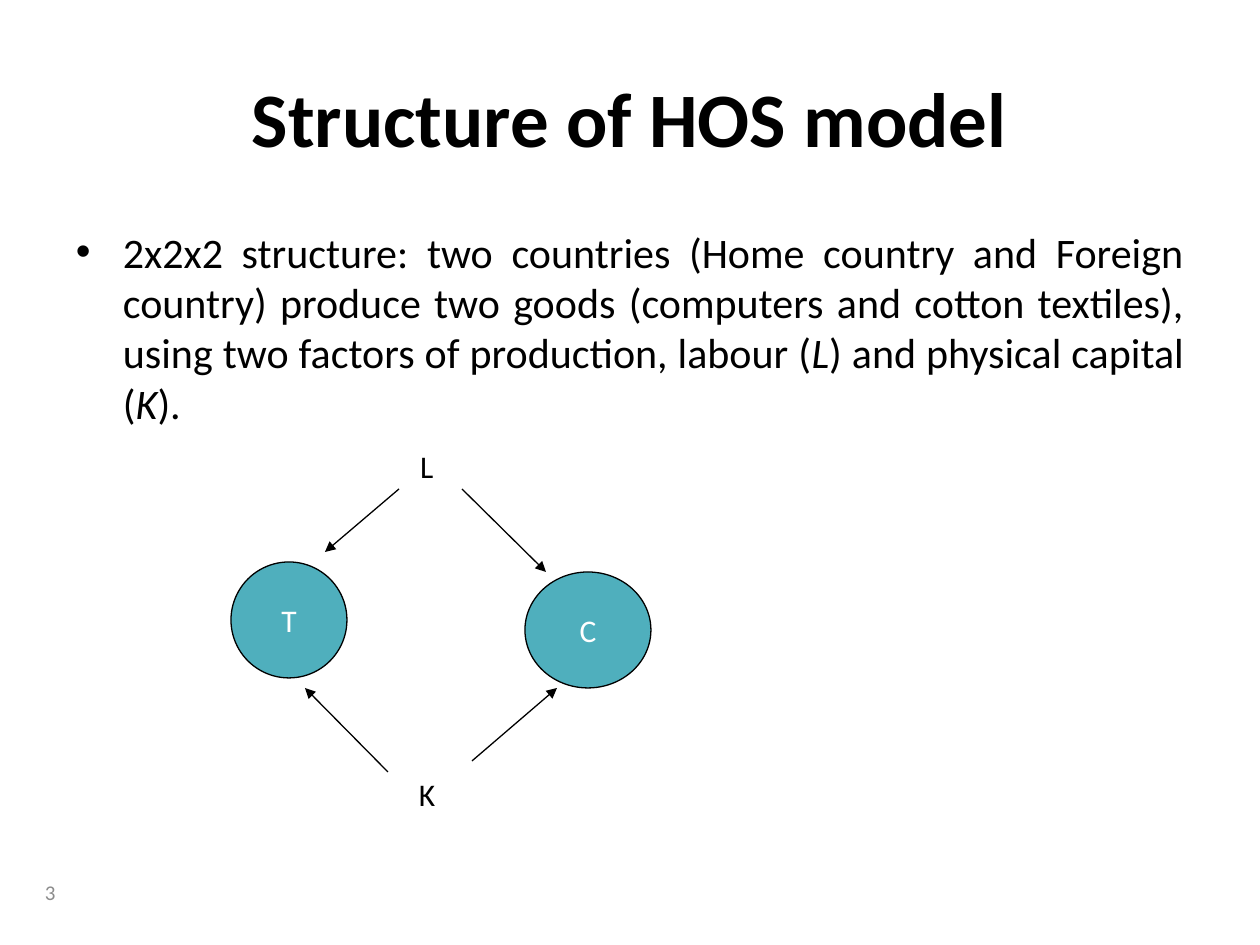
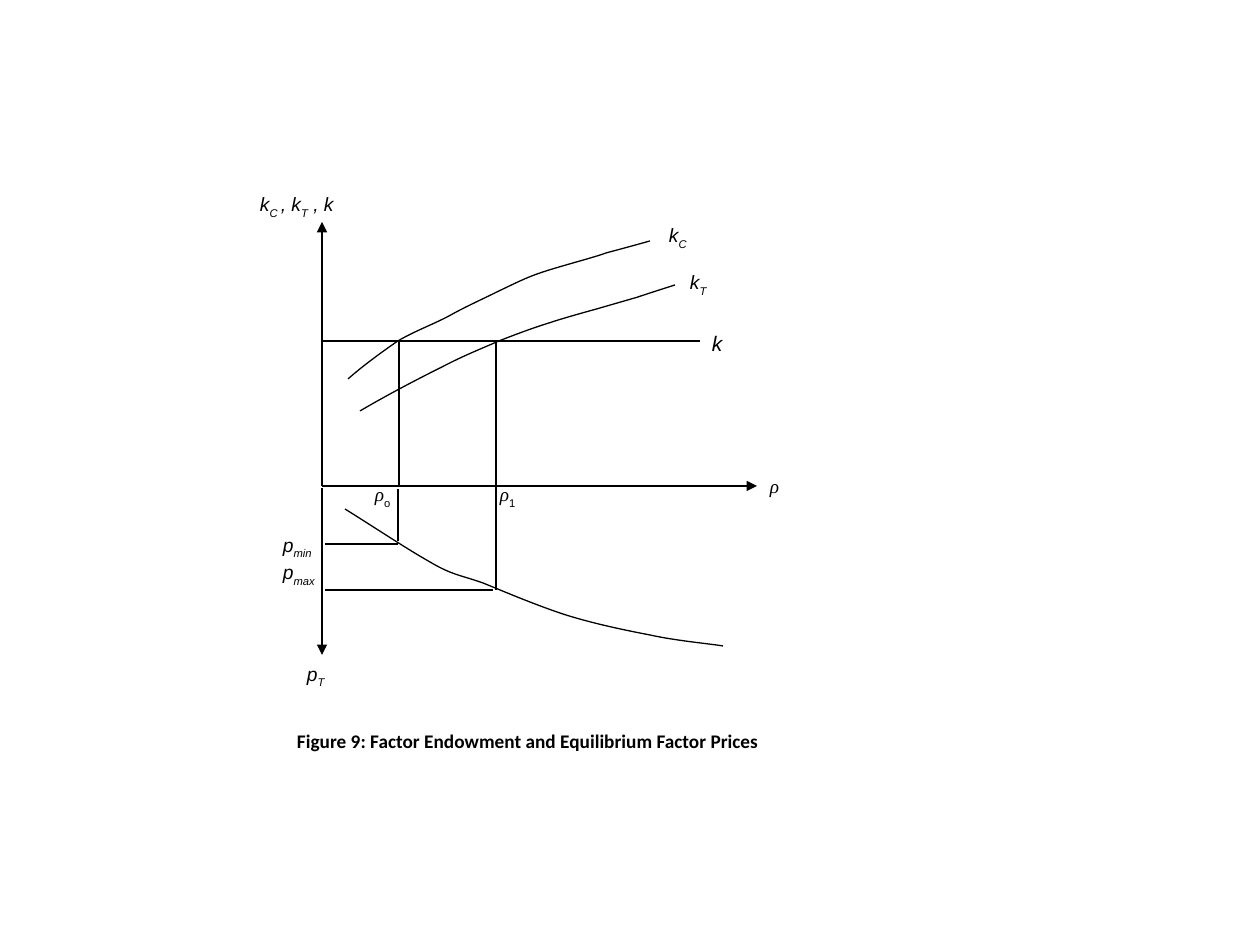
import pptx
import pptx.util
import pptx.dml.color
import pptx.enum.shapes
import pptx.enum.text
import lxml.etree

PX = 914400 / 126
BLACK = pptx.dml.color.RGBColor(0, 0, 0)
WHITE = pptx.dml.color.RGBColor(255, 255, 255)
GREY = pptx.dml.color.RGBColor(0x8C, 0x8C, 0x8C)
TEAL = pptx.dml.color.RGBColor(0x4F, 0xAF, 0xBD)
SANS, LABEL, GREEK = "Calibri", "Arial", "Times New Roman"
ALIGN = pptx.enum.text.PP_ALIGN
MIDDLE = pptx.enum.text.MSO_ANCHOR.MIDDLE
WIDE, TIGHT = (13, 6), (8, 4)  # text insets: sides, top and bottom

# ---- Content. A run is (text, marks): b bold, i italic, s subscript, g Greek font
TITLE = [("Structure of HOS model", "b")]
STRUCTURE = [
    ("2x2x2 structure: two countries (Home country and Foreign country) produce "
     "two goods (computers and cotton textiles), using two factors of production, "
     "labour (", ""), ("L", "i"), (") and physical capital (", ""), ("K", "i"), (").", "")]
PAGE_NUMBER = [("3", "")]

GOODS = [("T", (231, 562, 116, 116)), ("C", (525, 572, 126, 116))]
FACTORS = [("L", (407, 441, 43, 50)), ("K", (406, 769, 46, 50))]
FACTOR_ARROWS = [(399, 489, 325, 552), (462, 489, 546, 572),
                 (472, 761, 557, 688), (388, 772, 305, 688)]

# Figure: origin and the two factor price ratios
AXIS_X, AXIS_Y, K_LEVEL = 322, 486, 341
RHO_0, RHO_1 = 399, 496
P_MIN, P_MAX = 544, 590
AXES = [(AXIS_X, AXIS_Y, AXIS_X, 222), (AXIS_X, AXIS_Y, 757, AXIS_Y),
        (AXIS_X, AXIS_Y + 2, AXIS_X, 655)]
GUIDES = [
    (AXIS_X, K_LEVEL, 625, K_LEVEL), (625, K_LEVEL, 700, K_LEVEL),
    (RHO_0, K_LEVEL, RHO_0, 417), (RHO_0, 417, RHO_0, AXIS_Y),
    (RHO_1, K_LEVEL, RHO_1, 417), (RHO_1, 404, RHO_1, AXIS_Y),
    (RHO_0 - 1, AXIS_Y + 3, RHO_0 - 1, 541), (RHO_1, AXIS_Y, RHO_1, P_MAX),
    (RHO_0 - 1, P_MIN, 325, P_MIN), (RHO_1 - 3, P_MAX, 325, P_MAX),
    (593, 310, 638, 297)]
# Bezier curves: start, then two handles and an end point for each piece
CURVES = [
    [(348, 379), (364, 365), (382, 352), (398, 341), (415, 331), (432, 325),
     (449, 316), (465, 307), (483, 299), (499, 291), (514, 284), (525, 278),
     (543, 272), (561, 266), (596, 257), (606, 253)],
    [(606, 253), (625, 248), (643, 243), (650, 241)],
    [(360, 411), (389, 394), (420, 378), (442, 367), (465, 355), (481, 349),
     (499, 341), (517, 334), (533, 328), (549, 323), (564, 318), (586, 312),
     (593, 310)],
    [(638, 297), (653, 292), (669, 287), (675, 285)],
    [(345, 509), (377, 529), (407, 549), (430, 562), (452, 575), (460, 575),
     (483, 583), (505, 592), (538, 606), (566, 615), (595, 624), (624, 630),
     (650, 635), (677, 641), (712, 644), (723, 646)]]
# Label: box, insets, size, paragraphs
FIGURE_LABELS = [
    ((252, 188, 121, 30), TIGHT, 11,
     [[("k", "i"), ("C ", "is"), (", k", "i"), ("T", "is"), (" , k", "i")]]),
    ((762, 470, 30, 32), TIGHT, 11, [[("ρ", "ig")]]),
    ((661, 219, 52, 30), TIGHT, 11, [[("k", "i"), ("C", "is")]]),
    ((682, 266, 39, 30), TIGHT, 11, [[("k", "i"), ("T", "is")]]),
    ((699, 325, 35, 37), WIDE, 12, [[("k", "i")]]),
    ((270, 527, 66, 101), WIDE, 11,
     [[("p", "i"), ("min", "is")], [("p", "i"), ("max", "is")]]),
    ((294, 656, 66, 57), WIDE, 11, [[("p", "i"), ("T", "is")]])]
RHO_BOX, RHO_TAB = (367, 478, 200, 54), 125
RHO_LABELS = [("ρ", "ig"), ("o", "s"), ("\tρ", "ig"), ("1", "s")]
CAPTION = [("Figure 9: Factor Endowment and Equilibrium Factor Prices", "b")]


# ---- Helpers
def emu(pixels):
    return pptx.util.Emu(round(pixels * PX))


def box_emu(box):
    return [emu(v) for v in box]


def child(parent, tag, **attributes):
    element = lxml.etree.SubElement(parent, pptx.oxml.ns.qn(tag))
    for key, value in attributes.items():
        element.set(key, str(value))
    return element


def write(paragraph, runs, size, color, font):
    for text, marks in runs:
        run = paragraph.add_run()
        run.text = text
        run.font.name = GREEK if "g" in marks else font
        run.font.size = pptx.util.Pt(size)
        run.font.color.rgb = color
        run.font.bold = "b" in marks
        run.font.italic = "i" in marks
        if "s" in marks:
            run.font._element.set("baseline", "-30000")


def add_text(shapes, box, paragraphs, size, color=BLACK, font=SANS,
             align=ALIGN.LEFT, anchor=None, inset=WIDE, wrap=True):
    frame = shapes.add_textbox(*box_emu(box)).text_frame
    frame.word_wrap = wrap
    frame.margin_left = frame.margin_right = emu(inset[0])
    frame.margin_top = frame.margin_bottom = emu(inset[1])
    if anchor is not None:
        frame.vertical_anchor = anchor
    for index, runs in enumerate(paragraphs):
        paragraph = frame.add_paragraph() if index else frame.paragraphs[0]
        paragraph.alignment = align
        write(paragraph, runs, size, color, font)
    return frame.paragraphs[0]


def outline(line):
    line.color.rgb = BLACK
    line.width = pptx.util.Pt(0.75)


def add_line(shapes, ends, arrow=False):
    line = shapes.add_connector(pptx.enum.shapes.MSO_CONNECTOR.STRAIGHT, *box_emu(ends))
    outline(line.line)
    if arrow:
        child(line.line._get_or_add_ln(), "a:tailEnd", type="triangle")
    child(line._element.spPr, "a:effectLst")


def add_curve(shapes, points):
    builder = shapes.build_freeform(*points[0], scale=PX)
    builder.add_line_segments(points[1:], close=False)
    curve = builder.convert_to_shape()
    curve.fill.background()
    curve.shadow.inherit = False
    outline(curve.line)
    # Every three straight steps become one Bezier piece
    steps = list(curve._element.iter(pptx.oxml.ns.qn("a:lnTo")))
    for first in range(0, len(steps), 3):
        piece = child(steps[first].getparent(), "a:cubicBezTo")
        for step in steps[first:first + 3]:
            piece.append(step[0])
            step.getparent().remove(step)


deck = pptx.Presentation()
deck.slide_width, deck.slide_height = pptx.util.Inches(10), pptx.util.Inches(7.5)
blank = deck.slide_layouts[6]

# ---- Slide 1: structure of the model
shapes = deck.slides.add_slide(blank).shapes
add_text(shapes, (63, 38, 1134, 157), [TITLE], 44, align=ALIGN.CENTER, anchor=MIDDLE)
bullet = add_text(shapes, (63, 220, 1134, 624), [STRUCTURE], 24, align=ALIGN.JUSTIFY)
bullet.space_before = pptx.util.Pt(4.8)
properties = bullet._p.get_or_add_pPr()
properties.set("marL", str(emu(47)))
properties.set("indent", str(-emu(47)))
child(properties, "a:buFont", typeface=LABEL)
child(properties, "a:buChar", char="•")
add_text(shapes, (32, 861, 63, 63), [PAGE_NUMBER], 12, GREY, anchor=MIDDLE)

for good, box in GOODS:
    circle = shapes.add_shape(pptx.enum.shapes.MSO_SHAPE.OVAL, *box_emu(box))
    circle.shadow.inherit = False
    circle.fill.solid()
    circle.fill.fore_color.rgb = TEAL
    outline(circle.line)
    circle.text_frame.word_wrap = False
    circle.text_frame.vertical_anchor = MIDDLE
    circle.text_frame.paragraphs[0].alignment = ALIGN.CENTER
    write(circle.text_frame.paragraphs[0], [(good, "")], 18, WHITE, SANS)
for factor, box in FACTORS:
    add_text(shapes, box, [[(factor, "")]], 18, wrap=False)
for ends in FACTOR_ARROWS:
    add_line(shapes, ends, arrow=True)

# ---- Slide 2: factor endowment figure, kept in one group
figure = deck.slides.add_slide(blank).shapes.add_group_shape().shapes
for ends in AXES:
    add_line(figure, ends, arrow=True)
for ends in GUIDES:
    add_line(figure, ends)
for points in CURVES:
    add_curve(figure, points)
for box, inset, size, paragraphs in FIGURE_LABELS:
    add_text(figure, box, paragraphs, size, font=LABEL, inset=inset)
ratios = add_text(figure, RHO_BOX, [RHO_LABELS], 11, font=LABEL, inset=TIGHT)
tabs = child(ratios._p.get_or_add_pPr(), "a:tabLst")
child(tabs, "a:tab", pos=emu(RHO_TAB), algn="l")
caption = add_text(figure, (289, 725, 525, 52), [CAPTION], 11, inset=TIGHT)
caption.space_after = pptx.util.Pt(10)

deck.save("out.pptx")
